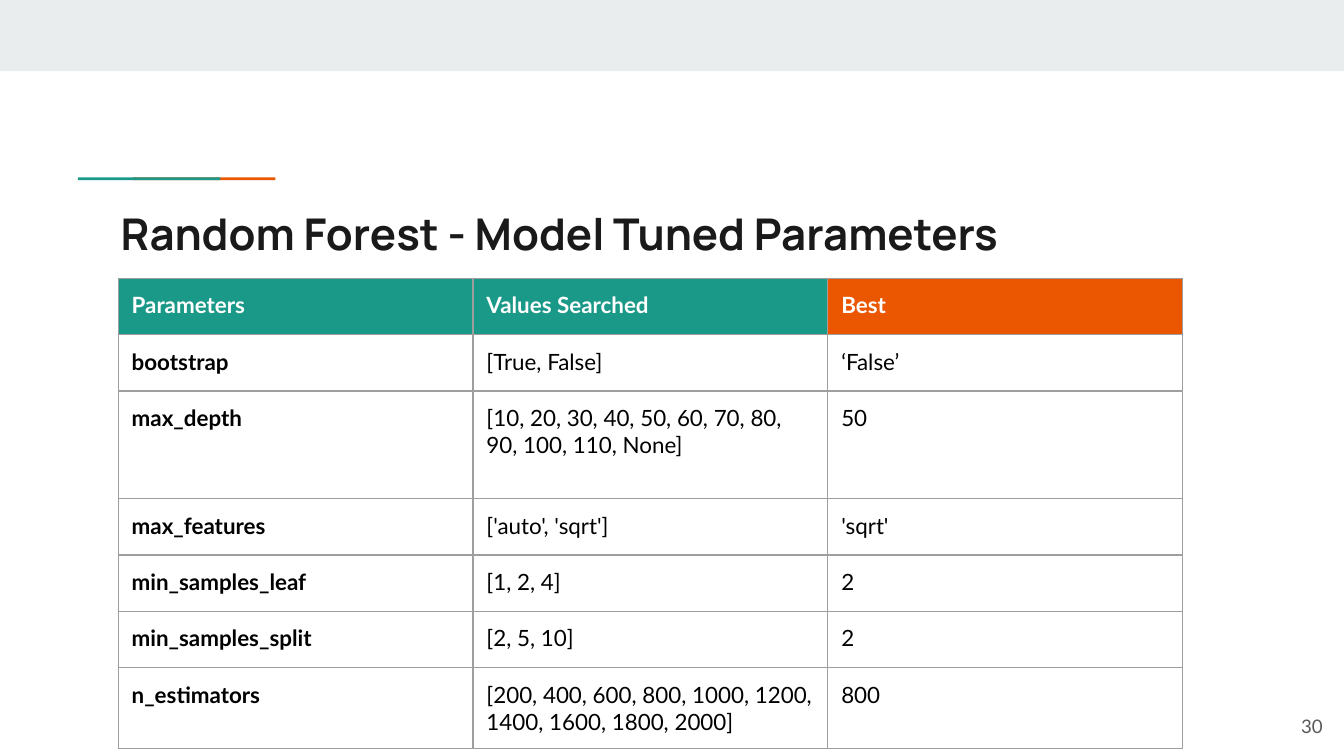
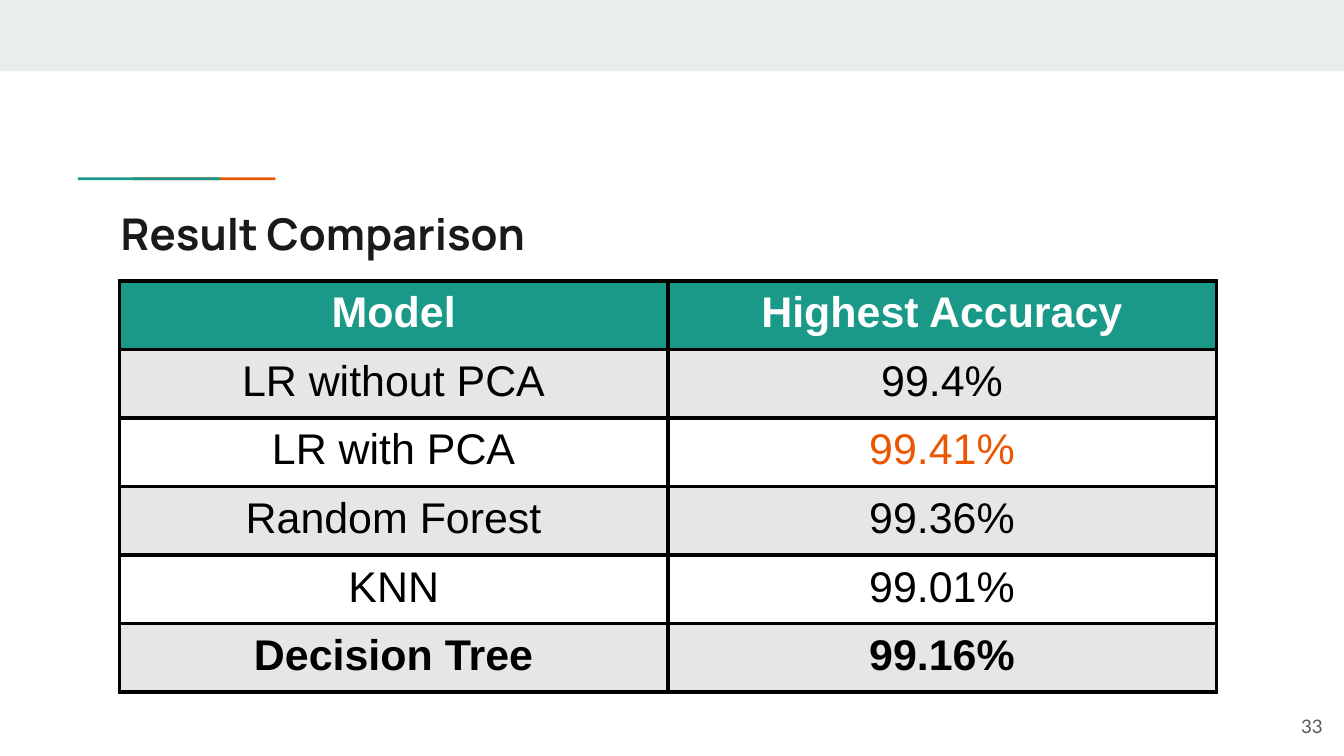
"""Build two slides with tables of model tuning and accuracy results."""
from pptx import Presentation
from pptx.dml.color import RGBColor as RGB
from pptx.enum.shapes import MSO_SHAPE as SHAPE
from pptx.enum.text import MSO_ANCHOR as ANCHOR, PP_ALIGN as ALIGN
from pptx.oxml import parse_xml
from pptx.oxml.ns import nsdecls
from pptx.util import Inches, Pt

COLORS = {
    "band": "E9EDEE", "teal": "1A9988", "orange": "EB5600", "title": "1A1A1A",
    "number": "595959", "grid": "9E9E9E", "black": "000000", "white": "FFFFFF",
    "stripe": "E6E6E6",
}

PARAMETERS = [
    ("Parameters", "Values Searched", "Best"),
    ("bootstrap", "[True, False]", "‘False’"),
    ("max_depth", "[10, 20, 30, 40, 50, 60, 70, 80, 90, 100, 110, None]", "50"),
    ("max_features", "['auto', 'sqrt']", "'sqrt'"),
    ("min_samples_leaf", "[1, 2, 4]", "2"),
    ("min_samples_split", "[2, 5, 10]", "2"),
    ("n_estimators", "[200, 400, 600, 800, 1000, 1200, 1400, 1600, 1800, 2000]", "800"),
]
PARAMETER_HEIGHTS = [0.42, 0.42, 0.8, 0.42, 0.42, 0.42, 0.6]

RESULTS = [
    ("Model", "Highest Accuracy"),
    ("LR without PCA", "99.4%"),
    ("LR with PCA", "99.41%"),
    ("Random Forest", "99.36%"),
    ("KNN", "99.01%"),
    ("Decision Tree", "99.16%"),
]


def rgb(name):
    return RGB.from_string(COLORS[name])


def set_font(p, face, size, color, bold=False):
    p.font.name, p.font.size, p.font.bold = face, Pt(size), bold
    p.font.color.rgb = rgb(color)


def set_margins(target, x, y):
    target.margin_left = target.margin_right = Inches(x)
    target.margin_top = target.margin_bottom = Inches(y)


def add_rect(s, box, color):
    sp = s.shapes.add_shape(SHAPE.RECTANGLE, *map(Inches, box))
    sp.shadow.inherit = False
    sp.fill.solid()
    sp.fill.fore_color.rgb = rgb(color)
    sp.line.fill.background()


def add_text(s, box, text, face, size, color, bold=False, align=ALIGN.LEFT, anchor=ANCHOR.TOP):
    tf = s.shapes.add_textbox(*map(Inches, box)).text_frame
    tf.word_wrap, tf.vertical_anchor = True, anchor
    set_margins(tf, 0.1, 0.1)
    p = tf.paragraphs[0]
    p.text, p.alignment = text, align
    set_font(p, face, size, color, bold)


def add_accent(s, box):
    left, top, width, height = box
    bar = 1.06
    add_rect(s, (left + width - bar, top, bar, height), "orange")
    add_rect(s, (left, top, bar, height), "teal")


def add_frame(prs, title, number):
    s = prs.slides.add_slide(prs.slide_layouts[6])
    add_rect(s, (0, 0, 10, 0.53), "band")
    add_accent(s, (0.58, 1.32, 1.47, 0.02))
    add_text(s, (0.8, 1.44, 8.41, 0.59), title, "Manrope", 23.4, "title", True)
    add_text(s, (9.34, 5.19, 0.6, 0.43), number, "Lato", 10, "number",
             align=ALIGN.RIGHT, anchor=ANCHOR.MIDDLE)
    return s


def set_borders(cell, color, width):
    tcPr = cell._tc.get_or_add_tcPr()
    for side in "LRTB":
        tcPr.append(parse_xml(
            f'<a:ln{side} {nsdecls("a")} w="{Pt(width)}"><a:solidFill>'
            f'<a:srgbClr val="{COLORS[color]}"/></a:solidFill></a:ln{side}>'))


def add_table(s, left, top, rows, col_width, heights, border, margins, face, size, align, style):
    """Place a table; style(row, col) gives each cell's fill, text colour and weight."""
    cols = len(rows[0])
    table = s.shapes.add_table(len(rows), cols, Inches(left), Inches(top),
                               Inches(col_width * cols), Inches(sum(heights))).table
    table.first_row = table.horz_banding = False
    for col in table.columns:
        col.width = Inches(col_width)
    for i, (values, height) in enumerate(zip(rows, heights)):
        table.rows[i].height = Inches(height)
        for j, value in enumerate(values):
            fill, color, bold = style(i, j)
            cell = table.cell(i, j)
            set_margins(cell, *margins)
            set_borders(cell, *border)
            if fill:
                cell.fill.solid()
                cell.fill.fore_color.rgb = rgb(fill)
            else:
                cell.fill.background()
            p = cell.text_frame.paragraphs[0]
            p.text, p.alignment = value, align
            set_font(p, face, size, color, bold)


def parameter_style(row, col):
    if row == 0:
        return "orange" if col == 2 else "teal", "white", True
    return None, "black", col == 0


def result_style(row, col):
    if row == 0:
        return "teal", "white", True
    best = RESULTS[row][col] == "99.41%"
    return ("stripe" if row % 2 else "white", "orange" if best else "black",
            row == len(RESULTS) - 1)


def add_parameters_slide(prs):
    s = add_frame(prs, "Random Forest - Model Tuned Parameters", "30")
    add_table(s, 0.88, 2.07, PARAMETERS, 2.64, PARAMETER_HEIGHTS, ("grid", 0.75),
              (0.1, 0.1), "Lato", 12, ALIGN.LEFT, parameter_style)


def add_results_slide(prs):
    s = add_frame(prs, "Result Comparison", "33")
    add_table(s, 0.89, 2.09, RESULTS, 4.08, [0.51] * len(RESULTS), ("black", 2.25),
              (0.13, 0.06), "Arial", 23, ALIGN.CENTER, result_style)


def main():
    prs = Presentation()
    prs.slide_width = Inches(10)
    prs.slide_height = prs.slide_width * 9 // 16
    add_parameters_slide(prs)
    add_results_slide(prs)
    prs.save("out.pptx")


if __name__ == "__main__":
    main()
